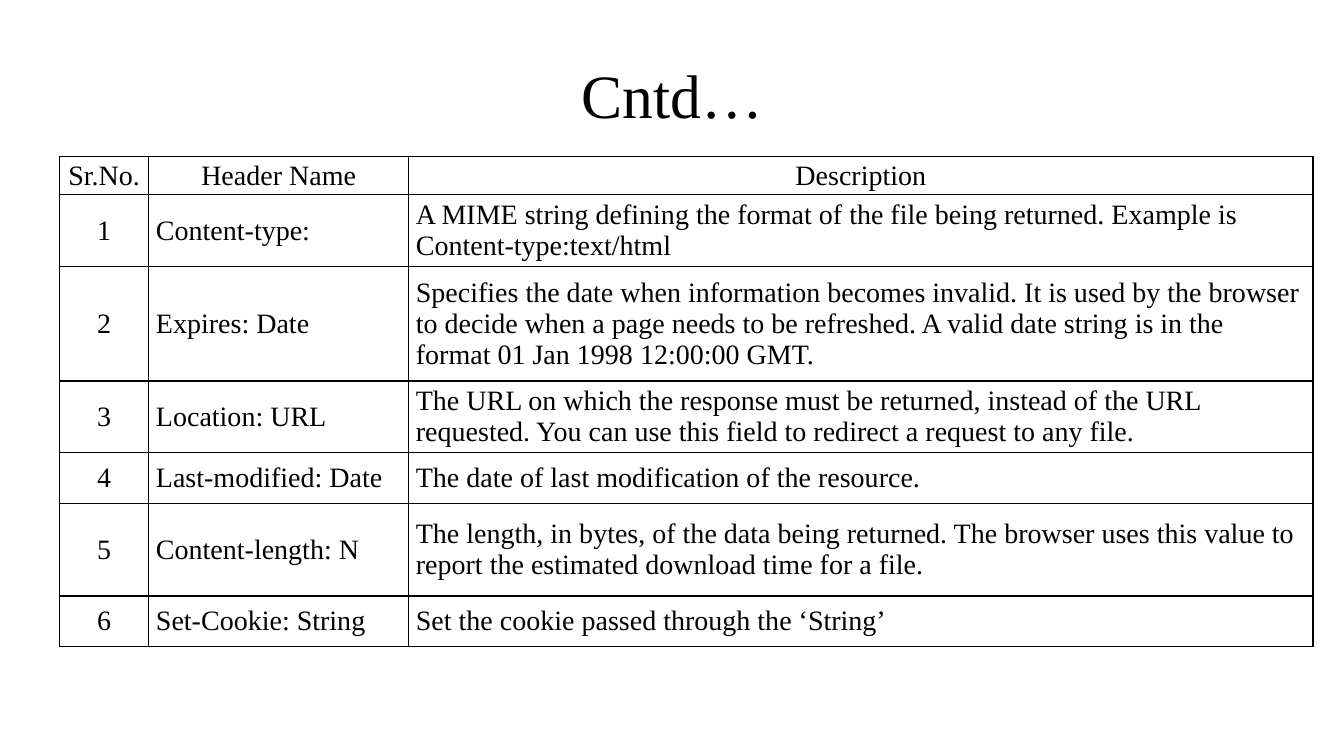
import copy
import pptx
import pptx.util
import pptx.dml.color
import pptx.enum.text
import pptx.oxml
import pptx.oxml.ns
from pptx.util import Cm

MID = pptx.enum.text.MSO_ANCHOR.MIDDLE
LEFT = pptx.enum.text.PP_ALIGN.LEFT
CENTER = pptx.enum.text.PP_ALIGN.CENTER

COLS = [2.25, 6.55, 22.79]
TALL = [0.97, 1.81, 2.88, 1.81, 1.27, 2.34, 1.27]
HEAD = ["Sr.No.", "Header Name", "Description"]
ROWS = [
    ("Content-type:",
     "A MIME string defining the format of the file being returned. "
     "Example is Content-type:text/html"),
    ("Expires: Date",
     "Specifies the date when information becomes invalid. It is used by the "
     "browser to decide when a page needs to be refreshed. A valid date "
     "string is in the format 01 Jan 1998 12:00:00 GMT."),
    ("Location: URL",
     "The URL on which the response must be returned, instead of the URL "
     "requested. You can use this field to redirect a request to any file."),
    ("Last-modified: Date", "The date of last modification of the resource."),
    ("Content-length: N",
     "The length, in bytes, of the data being returned. The browser uses this "
     "value to report the estimated download time for a file."),
    ("Set-Cookie: String", "Set the cookie passed through the ‘String’"),
]


def color(code):
    return pptx.dml.color.RGBColor.from_string(code)


def write(frame, text, size=20, font="Times New Roman", ink="000000",
          align=LEFT, space=None):
    frame.word_wrap = True
    para = frame.paragraphs[0]
    para.alignment = align
    para.line_spacing = space
    run = para.add_run()
    run.text = text
    run.font.size = pptx.util.Pt(size)
    run.font.name = font
    run.font.color.rgb = color(ink)
    last = copy.deepcopy(run._r.rPr)
    last.tag = pptx.oxml.ns.qn("a:endParaRPr")
    para._p.append(last)


class Deck:
    """Holds the style and the current slide, and draws elements on it."""

    ink = "000000"
    paper = "FFFFFF"

    def __init__(self, slide):
        self.slide = slide

    def title(self, text, x, y, w, h):
        box = self.slide.shapes.add_textbox(Cm(x), Cm(y), Cm(w), Cm(h))
        box.text_frame.vertical_anchor = MID
        write(box.text_frame, text, size=44, ink=self.ink, align=CENTER,
              space=0.9)

    def border(self, cell):
        props = cell._tc.get_or_add_tcPr()
        for at, side in enumerate(("lnL", "lnR", "lnT", "lnB")):
            props.insert(at, pptx.oxml.parse_xml(
                f'<a:{side} {pptx.oxml.ns.nsdecls("a")} w="12700"><a:solidFill>'
                f'<a:srgbClr val="{self.ink}"/></a:solidFill></a:{side}>'))

    def cell(self, cell, text, align):
        cell.fill.solid()
        cell.fill.fore_color.rgb = color(self.paper)
        cell.vertical_anchor = MID
        cell.margin_left = cell.margin_right = Cm(0.18)
        cell.margin_top = cell.margin_bottom = Cm(0.05)
        write(cell.text_frame, text, ink=self.ink, align=align)
        self.border(cell)

    def table(self, rows, x, y, cols, tall):
        grid = self.slide.shapes.add_table(
            len(rows), len(cols), Cm(x), Cm(y), Cm(sum(cols)), Cm(sum(tall))
        ).table
        grid.horz_banding = False
        grid.first_row = False
        for col, wide in zip(grid.columns, cols):
            col.width = Cm(wide)
        for row, high in zip(grid.rows, tall):
            row.height = Cm(high)
        for r, row in enumerate(rows):
            for c, text in enumerate(row):
                align = CENTER if r == 0 or c == 0 else LEFT
                self.cell(grid.cell(r, c), text, align)


def main():
    prs = pptx.Presentation()
    prs.slide_width, prs.slide_height = Cm(33.87), Cm(19.05)
    deck = Deck(prs.slides.add_slide(prs.slide_layouts[6]))
    deck.title("Cntd…", 2.34, 1.02, 29.21, 2.92)
    body = [(str(n), *row) for n, row in enumerate(ROWS, 1)]
    deck.table([HEAD] + body, 1.5, 3.94, COLS, TALL)
    prs.save("out.pptx")


if __name__ == "__main__":
    main()
